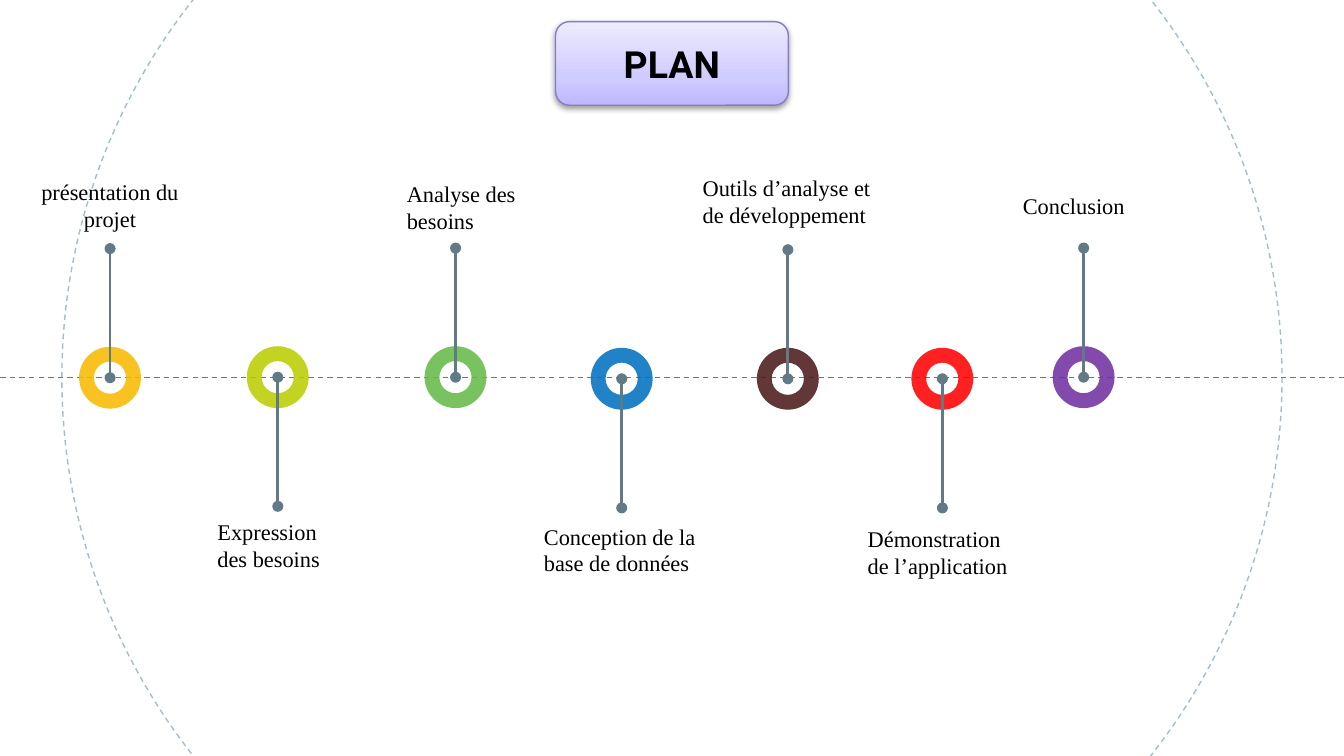
"""Build the PLAN timeline slide with seven alternating steps."""
from copy import deepcopy

from lxml import etree
from pptx import Presentation
from pptx import util as u
from pptx.dml.color import RGBColor
from pptx.enum import dml, shapes, text
from pptx.oxml.ns import qn

COLORS = {
    "orbit": "A1BECC", "stem": "617A86", "ink": "000000", "border": "867CCF",
    "low": "BFB8FF", "mid": "D1CCFF", "high": "EDEBFF",
    "amber": "F8BB00", "lime": "BBCD00", "green": "65BB48", "blue": "0070C0",
    "brown": "4B1A1A", "red": "FF0000", "purple": "7030A0",
}
RING, STEM, INSET = 1.17, 2.44, u.Cm(0.25)
UP, DOWN = -1, 1
LEFT, CENTER = text.PP_ALIGN.LEFT, text.PP_ALIGN.CENTER
STEPS = [
    ("présentation du projet", "amber", 2.08, 7.14, UP, (0.48, 3.12, 3.2, 1.22), CENTER),
    ("Expression des besoins", "lime", 5.25, 7.13, DOWN, (3.86, 9.55, 2.97, 1.3), LEFT),
    ("Analyse des besoins", "green", 8.61, 7.13, UP, (7.44, 3.15, 2.74, 1.3), LEFT),
    ("Conception de la base de données", "blue", 11.75, 7.16, DOWN, (10.03, 9.63, 3.61, 1.52), LEFT),
    ("Outils d’analyse et de développement", "brown", 14.89, 7.16, UP, (13.03, 3.05, 3.73, 1.4), LEFT),
    ("Démonstration de l’application", "red", 17.81, 7.16, DOWN, (16.15, 9.68, 3.35, 1.47), LEFT),
    ("Conclusion", "purple", 20.48, 7.13, UP, (19.08, 3.38, 3, 0.89), LEFT),
]


def rgb(name):
    return RGBColor.from_string(COLORS[name])


def add_line(x1, y1, x2, y2, width):
    c = s.shapes.add_connector(shapes.MSO_CONNECTOR.STRAIGHT,
                               u.Cm(x1), u.Cm(y1), u.Cm(x2), u.Cm(y2))
    c.line.color.rgb = rgb("stem")
    c.line.width = u.Pt(width)
    etree.SubElement(c._element.spPr, qn("a:effectLst"))
    return c


prs = Presentation()
prs.slide_width, prs.slide_height = u.Cm(25.4), u.Cm(14.29)
s = prs.slides.add_slide(prs.slide_layouts[6])

orbit = s.shapes.add_shape(shapes.MSO_SHAPE.OVAL, u.Cm(1.17), u.Cm(-4.39), u.Cm(23.06), u.Cm(23.06))
orbit.shadow.inherit = False
orbit.fill.background()
orbit.line.color.rgb = rgb("orbit")
orbit.line.width = u.Pt(0.75)
orbit.line.dash_style = dml.MSO_LINE.DASH

axis = add_line(0, 7.13, 25.4, 7.13, 0.75)
axis.line.dash_style = dml.MSO_LINE.DASH

for label, color, x, y, side, box, align in STEPS:
    ring = s.shapes.add_shape(shapes.MSO_SHAPE.DONUT, u.Cm(x - RING / 2), u.Cm(y - RING / 2),
                              u.Cm(RING), u.Cm(RING))
    ring.adjustments[0] = 0.24
    ring.shadow.inherit = False
    ring.line.fill.background()
    ring.fill.solid()
    ring.fill.fore_color.rgb = rgb(color)
    clr = ring._element.spPr.find(qn("a:solidFill")).find(qn("a:srgbClr"))
    etree.SubElement(clr, qn("a:alpha"), val="87000")

    stem = add_line(x, y, x, y + side * STEM, 1.5)
    for end in ("a:headEnd", "a:tailEnd"):
        etree.SubElement(stem._element.spPr.find(qn("a:ln")), qn(end), type="oval")

    tf = s.shapes.add_textbox(*map(u.Cm, box)).text_frame
    tf.word_wrap = True
    tf.margin_left = tf.margin_right = tf.margin_top = tf.margin_bottom = INSET
    p = tf.paragraphs[0]
    p.text = label
    p.alignment = align
    r = p.runs[0]
    r.font.name, r.font.size = "Times New Roman", u.Pt(12)
    r.font.color.rgb = rgb("ink")

title = s.shapes.add_shape(shapes.MSO_SHAPE.ROUNDED_RECTANGLE,
                           u.Cm(10.5), u.Cm(0.41), u.Cm(4.4), u.Cm(1.58))
title.fill.gradient()
title.fill.gradient_angle = 90
stops = title._element.spPr.find(qn("a:gradFill")).find(qn("a:gsLst"))
stops.insert(1, deepcopy(stops[0]))
for stop, position, color in zip(title.fill.gradient_stops, (0, 0.35, 1), ("low", "mid", "high")):
    stop.position = position
    stop.color.rgb = rgb(color)
title.line.color.rgb = rgb("border")
title.line.width = u.Pt(0.75)
title.shadow.inherit = False
shadow = etree.SubElement(title._element.spPr.find(qn("a:effectLst")), qn("a:outerShdw"),
                          blurRad="40000", dist="20000", dir="5400000", rotWithShape="0")
shade = etree.SubElement(shadow, qn("a:srgbClr"), val=COLORS["ink"])
etree.SubElement(shade, qn("a:alpha"), val="38000")
tf = title.text_frame
tf.vertical_anchor = text.MSO_ANCHOR.MIDDLE
p = tf.paragraphs[0]
p.text = "PLAN"
p.alignment = CENTER
r = p.runs[0]
r.font.name, r.font.size, r.font.bold = "Roboto", u.Pt(20), True
r.font.color.rgb = rgb("ink")

prs.save("out.pptx")
